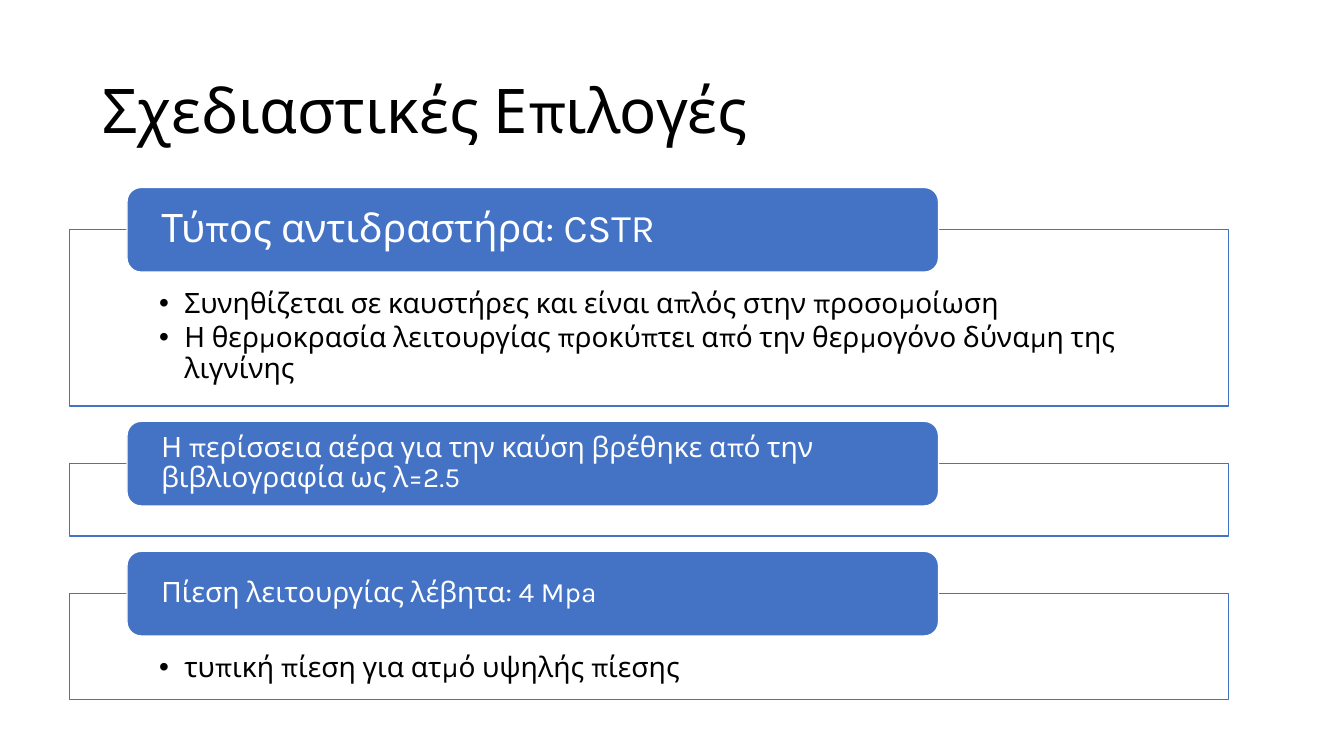
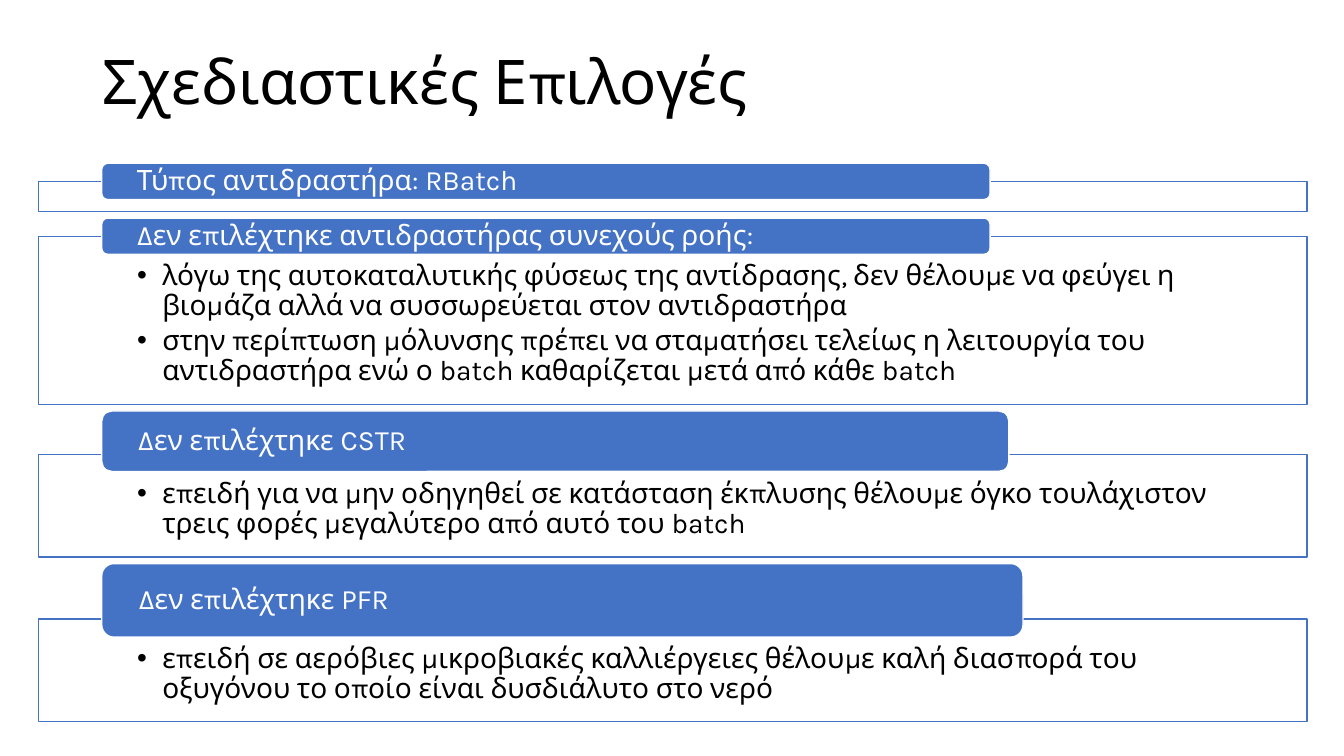
"""Build two slides of design choices, each a title over a stack of tabbed frames."""
from lxml.etree import SubElement
from pptx import Presentation
from pptx.dml.color import RGBColor
from pptx.enum.shapes import MSO_SHAPE
from pptx.enum.text import MSO_ANCHOR, PP_ALIGN
from pptx.oxml.ns import qn
from pptx.util import Inches, Pt

BLUE, WHITE, BLACK = "4472C4", "FFFFFF", "000000"
FONT = "Karla"
TITLE = "Σχεδιαστικές Επιλογές"
TITLE_LEFT, TITLE_WIDTH, TITLE_HEIGHT = 6.88, 86.25, 19.33
BULLET_INDENT = Inches(0.25)

deck = Presentation()
deck.slide_width, deck.slide_height = Inches(13.33), Inches(7.5)
COLUMN, ROW = deck.slide_width / 100, deck.slide_height / 100


def tint(code):
    """Turn a hex string into a colour."""
    return RGBColor.from_string(code)


def add_block(page, shape_kind, area, lines, ink, size, margins, anchor,
              fill=None, edge=None, bullets=False):
    """Add a text block; area and margins are percentages of the slide."""
    left, top, width, height = area
    place = [round(length) for length in
             (left * COLUMN, top * ROW, width * COLUMN, height * ROW)]
    if shape_kind is None:
        box = page.shapes.add_textbox(*place)
    else:
        box = page.shapes.add_shape(shape_kind, *place)
        box.shadow.inherit = False
        box.fill.solid()
        box.fill.fore_color.rgb = tint(fill)
        box.line.color.rgb = tint(edge)
        box.line.width = Pt(1)
    side, above, below = margins
    frame_format = {
        "word_wrap": True,
        "vertical_anchor": anchor,
        "margin_left": round(side * COLUMN),
        "margin_right": round(side * COLUMN),
        "margin_top": round(above * ROW),
        "margin_bottom": round(below * ROW),
    }
    for name, value in frame_format.items():
        setattr(box.text_frame, name, value)
    para_format = {"alignment": PP_ALIGN.LEFT, "line_spacing": 0.9,
                   "space_after": Pt(3 if bullets else 0)}
    for number, line in enumerate(lines):
        para = box.text_frame.add_paragraph() if number else box.text_frame.paragraphs[0]
        for name, value in para_format.items():
            setattr(para, name, value)
        if bullets:
            properties = para._p.get_or_add_pPr()
            properties.set("marL", str(BULLET_INDENT))
            properties.set("indent", str(-BULLET_INDENT))
            SubElement(properties, qn("a:buFont")).set("typeface", "Arial")
            SubElement(properties, qn("a:buChar")).set("char", "•")
        span = para.add_run()
        span.text = line
        for name, value in {"name": FONT, "size": Pt(size)}.items():
            setattr(span.font, name, value)
        span.font.color.rgb = tint(ink)


pages = [
    {
        "title_top": 5.33, "stack_top": 24.8, "gap": 2,
        "frame": (5.17, 86.25), "tab_left": 9.45,
        "frame_margins": (6.67, 7.87, 2.13), "tab_margin": 2.25,
        "cards": [
            {"tab": (60.38, 11.2), "drop": 5.6, "depth": 23.33, "size": 28,
             "heading": "Τύπος αντιδραστήρα: CSTR",
             "points": ["Συνηθίζεται σε καυστήρες και είναι απλός στην προσομοίωση",
                        "Η θερμοκρασία λειτουργίας προκύπτει από την θερμογόνο "
                        "δύναμη της λιγνίνης"]},
            {"tab": (60.38, 11.2), "drop": 5.6, "depth": 9.6, "size": 20,
             "heading": "Η περίσσεια αέρα για την καύση βρέθηκε από την "
                        "βιβλιογραφία ως λ=2.5",
             "points": []},
            {"tab": (60.38, 11.2), "drop": 5.6, "depth": 14, "size": 20,
             "heading": "Πίεση λειτουργίας λέβητα: 4 Mpa",
             "points": ["τυπική πίεση για ατμό υψηλής πίεσης"]},
        ],
    },
    {
        "title_top": 1.47, "stack_top": 21.6, "gap": 0.85,
        "frame": (2.85, 94.4), "tab_left": 7.57,
        "frame_margins": (7.35, 3.33, 2.13), "tab_margin": 2.48,
        "cards": [
            {"tab": (66.1, 4.8), "drop": 2.4, "depth": 4, "size": 20,
             "heading": "Τύπος αντιδραστήρα: RBatch",
             "points": []},
            {"tab": (66.1, 4.8), "drop": 2.4, "depth": 22.27, "size": 20,
             "heading": "Δεν επιλέχτηκε αντιδραστήρας συνεχούς ροής:",
             "points": ["λόγω της αυτοκαταλυτικής φύσεως της αντίδρασης, δεν θέλουμε "
                        "να φεύγει η βιομάζα αλλά να συσσωρεύεται στον αντιδραστήρα",
                        "στην περίπτωση μόλυνσης πρέπει να σταματήσει τελείως η "
                        "λειτουργία του αντιδραστήρα ενώ ο batch καθαρίζεται μετά "
                        "από κάθε batch"]},
            {"tab": (67.5, 8), "drop": 5.73, "depth": 13.6, "size": 20,
             "heading": "Δεν επιλέχτηκε CSTR",
             "points": ["επειδή για να μην οδηγηθεί σε κατάσταση έκπλυσης θέλουμε όγκο "
                        "τουλάχιστον τρεις φορές μεγαλύτερο από αυτό του batch"]},
            {"tab": (68.55, 9.73), "drop": 7.33, "depth": 13.6, "size": 20,
             "heading": "Δεν επιλέχτηκε PFR",
             "points": ["επειδή σε αερόβιες μικροβιακές καλλιέργειες θέλουμε καλή "
                        "διασπορά του οξυγόνου το οποίο είναι δυσδιάλυτο στο νερό"]},
        ],
    },
]

for plan in pages:
    page = deck.slides.add_slide(deck.slide_layouts[6])
    add_block(page, None, (TITLE_LEFT, plan["title_top"], TITLE_WIDTH, TITLE_HEIGHT),
              [TITLE], BLACK, 44, (0.75, 0.67, 0.67), MSO_ANCHOR.MIDDLE)
    frame_left, frame_width = plan["frame"]
    tab_top = plan["stack_top"]
    for card in plan["cards"]:
        tab_width, tab_height = card["tab"]
        frame_top = tab_top + card["drop"]
        add_block(page, MSO_SHAPE.RECTANGLE,
                  (frame_left, frame_top, frame_width, card["depth"]),
                  card["points"], BLACK, 20, plan["frame_margins"], MSO_ANCHOR.TOP,
                  fill=WHITE, edge=BLUE, bullets=True)
        add_block(page, MSO_SHAPE.ROUNDED_RECTANGLE,
                  (plan["tab_left"], tab_top, tab_width, tab_height),
                  [card["heading"]], WHITE, card["size"], (plan["tab_margin"], 0, 0),
                  MSO_ANCHOR.MIDDLE, fill=BLUE, edge=WHITE)
        tab_top = frame_top + card["depth"] + plan["gap"]

deck.save("out.pptx")
